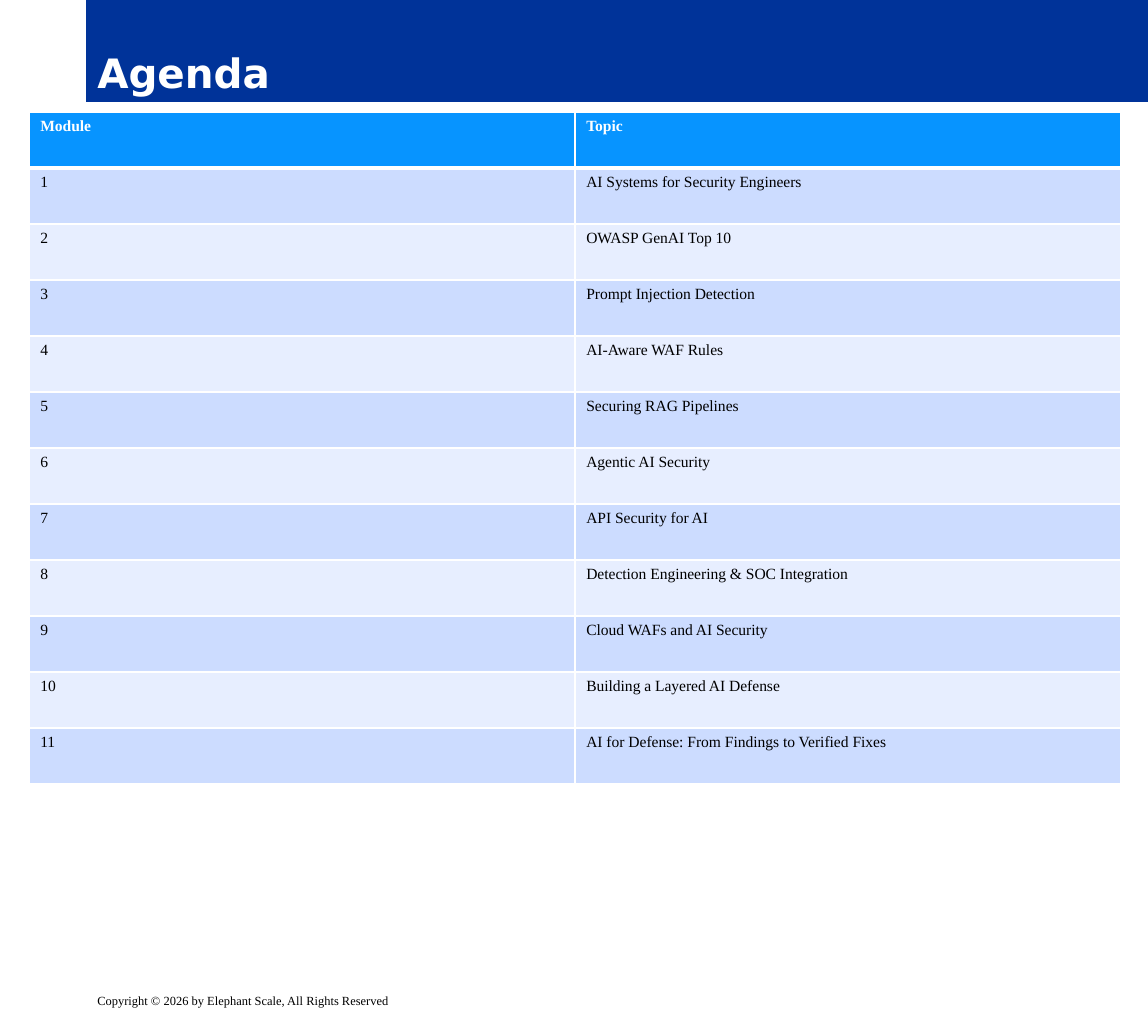
from lxml.etree import SubElement
from pptx import Presentation
from pptx.dml.color import RGBColor
from pptx.enum.shapes import MSO_SHAPE
from pptx.enum.text import MSO_ANCHOR, PP_ALIGN
from pptx.oxml.ns import qn
from pptx.util import Inches, Pt

SLIDE_WIDTH, SLIDE_HEIGHT = 10.25, 9.07
CONTENT_LEFT = 0.77
ROW_HEIGHT = 0.5

NAVY = RGBColor(0x00, 0x33, 0x99)
HEADER_BLUE = RGBColor(0x07, 0x94, 0xFF)
BAND_DARK = RGBColor(0xCC, 0xDC, 0xFF)
BAND_LIGHT = RGBColor(0xE7, 0xEE, 0xFF)
WHITE = RGBColor(0xFF, 0xFF, 0xFF)
BLACK = RGBColor(0x00, 0x00, 0x00)

TITLE_FONT = "DejaVu Sans"
BODY_FONT = "Times New Roman"

TOPICS = [
    "AI Systems for Security Engineers",
    "OWASP GenAI Top 10",
    "Prompt Injection Detection",
    "AI-Aware WAF Rules",
    "Securing RAG Pipelines",
    "Agentic AI Security",
    "API Security for AI",
    "Detection Engineering & SOC Integration",
    "Cloud WAFs and AI Security",
    "Building a Layered AI Defense",
    "AI for Defense: From Findings to Verified Fixes",
]


def write(frame, text, font_name, size, color, bold=False):
    paragraph = frame.paragraphs[0]
    paragraph.alignment = PP_ALIGN.LEFT
    run = paragraph.add_run()
    run.text = text
    run.font.name = font_name
    run.font.size = Pt(size)
    run.font.bold = bold
    run.font.color.rgb = color


def set_borders(cell, top, bottom):
    """Draw white cell borders; top and bottom are widths in points."""
    properties = cell._tc.get_or_add_tcPr()
    for side, width in (("L", 1), ("R", 1), ("T", top), ("B", bottom)):
        line = SubElement(properties, qn(f"a:ln{side}"), w=str(Pt(width)))
        fill = SubElement(line, qn("a:solidFill"))
        SubElement(fill, qn("a:srgbClr"), val=str(WHITE))


def add_title_band(slide, box):
    band = slide.shapes.add_shape(MSO_SHAPE.RECTANGLE, *map(Inches, box))
    band.shadow.inherit = False
    band.fill.solid()
    band.fill.fore_color.rgb = NAVY
    band.line.fill.background()
    band.text_frame.vertical_anchor = MSO_ANCHOR.BOTTOM
    write(band.text_frame, "Agenda", TITLE_FONT, 26, WHITE, bold=True)


def add_agenda_table(slide, box):
    rows = [("Module", "Topic")]
    rows += [(str(number), topic) for number, topic in enumerate(TOPICS, 1)]
    agenda = slide.shapes.add_table(len(rows), 2, *map(Inches, box)).table
    for row_index, row in enumerate(rows):
        is_header = row_index == 0
        if is_header:
            background = HEADER_BLUE
        else:
            background = BAND_DARK if row_index % 2 else BAND_LIGHT
        for column_index, text in enumerate(row):
            cell = agenda.cell(row_index, column_index)
            set_borders(cell, top=3 if row_index == 1 else 1,
                        bottom=3 if is_header else 1)
            cell.fill.solid()
            cell.fill.fore_color.rgb = background
            write(cell.text_frame, text, BODY_FONT, 10,
                  WHITE if is_header else BLACK, bold=is_header)


def add_copyright(slide, box):
    footer = slide.shapes.add_textbox(*map(Inches, box))
    footer.text_frame.word_wrap = True
    write(footer.text_frame,
          "Copyright © 2026 by Elephant Scale, All Rights Reserved",
          BODY_FONT, 8, BLACK)


def main():
    presentation = Presentation()
    presentation.slide_width = Inches(SLIDE_WIDTH)
    presentation.slide_height = Inches(SLIDE_HEIGHT)
    slide = presentation.slides.add_slide(presentation.slide_layouts[6])

    content_width = SLIDE_WIDTH - CONTENT_LEFT
    add_title_band(slide, (CONTENT_LEFT, 0, content_width, 0.91))
    add_copyright(slide, (CONTENT_LEFT, SLIDE_HEIGHT - 0.25, content_width, 0.25))
    add_agenda_table(slide, (0.26, 1, 9.75, ROW_HEIGHT * (len(TOPICS) + 1)))
    presentation.save("out.pptx")


if __name__ == "__main__":
    main()
